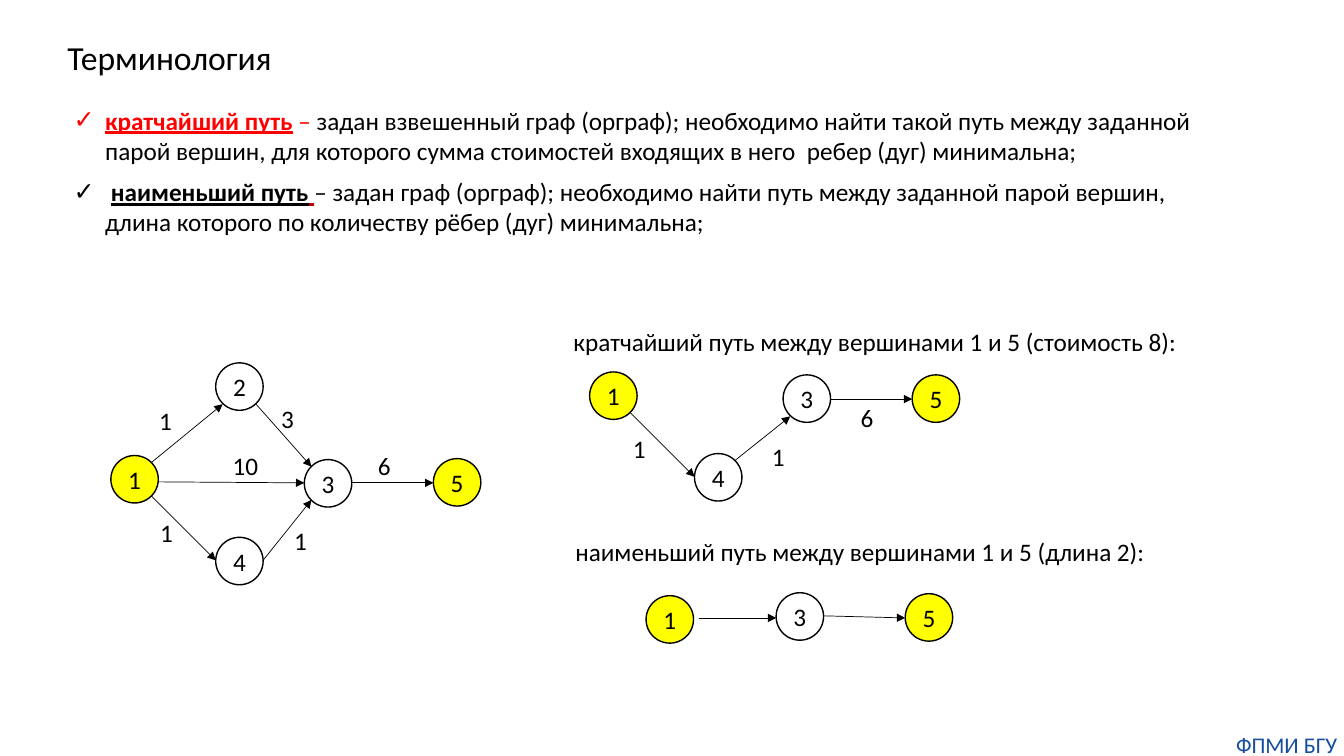
from pptx import Presentation
from pptx.dml.color import RGBColor
from pptx.enum.shapes import MSO_CONNECTOR, MSO_SHAPE
from pptx.enum.text import MSO_ANCHOR as Anchor, MSO_AUTO_SIZE as AutoSize, PP_ALIGN as Align
from pptx.oxml.ns import qn
from pptx.util import Pt
from lxml.etree import SubElement

BLACK = RGBColor(0x00, 0x00, 0x00)
WHITE = RGBColor(0xFF, 0xFF, 0xFF)
YELLOW = RGBColor(0xFF, 0xFF, 0x00)
RED = RGBColor(0xFF, 0x00, 0x00)
DARK_RED = RGBColor(0xC0, 0x00, 0x00)
BLUE = RGBColor(0x14, 0x4E, 0x9D)
FONT = "Calibri"
NODE_SIZE = 33.9


def style_font(font, size, color):
    font.name = FONT
    font.size = Pt(size)
    font.color.rgb = color


def add_label(text, left, top, width, height=29, size=18, color=BLACK):
    shape = slide.shapes.add_textbox(Pt(left), Pt(top), Pt(width), Pt(height))
    shape.text_frame.text = text
    shape.text_frame.word_wrap = False
    style_font(shape.text_frame.paragraphs[0].runs[0].font, size, color)
    return shape


presentation = Presentation()
presentation.slide_width = Pt(960)
presentation.slide_height = Pt(540)
slide = presentation.slides.add_slide(presentation.slide_layouts[1])

title = slide.shapes.title
title.left, title.top, title.width, title.height = Pt(41), Pt(23), Pt(162), Pt(36)
title.text_frame.text = "Терминология"
title.text_frame.word_wrap = False
title.text_frame.auto_size = AutoSize.NONE
title.text_frame.vertical_anchor = Anchor.TOP
title.text_frame.paragraphs[0].alignment = Align.LEFT
style_font(title.text_frame.paragraphs[0].runs[0].font, 24, BLACK)

definitions = [
    [
        ("кратчайший путь", RED, True, True),
        (" ", RED, True, False),
        ("– ", RED, False, False),
        ("задан взвешенный граф (орграф); необходимо найти такой путь между заданной "
         "парой вершин, для которого сумма стоимостей входящих в него  ребер (дуг) "
         "минимальна;", BLACK, False, False),
    ],
    [
        (" ", BLACK, False, False),
        ("наименьший путь", BLACK, True, True),
        (" ", DARK_RED, False, True),
        ("– задан граф (орграф); необходимо найти путь между заданной парой вершин, "
         "длина которого по количеству рёбер (дуг) минимальна;", BLACK, False, False),
    ],
]
body = slide.placeholders[1]
body.left, body.top, body.width, body.height = Pt(45.4), Pt(71.3), Pt(833), Pt(102.2)
body.text_frame.auto_size = AutoSize.NONE
body.text_frame.vertical_anchor = Anchor.TOP
for index, definition in enumerate(definitions):
    paragraph = body.text_frame.add_paragraph() if index else body.text_frame.paragraphs[0]
    paragraph.space_before = Pt(0)
    paragraph.space_after = Pt(8)
    properties = paragraph._p.get_or_add_pPr()
    properties.set("marL", str(Pt(22.5)))
    properties.set("indent", str(Pt(-22.5)))
    SubElement(properties, qn("a:buChar"), char="✓")
    for text, color, bold, underline in definition:
        run = paragraph.add_run()
        run.text = text
        style_font(run.font, 18, color)
        run.font.bold = bold
        run.font.underline = underline

footer = add_label("ФПМИ БГУ", 878.4, 522, 81.4, 19.5, 16, BLUE)
frame = footer.text_frame
frame.margin_left = frame.margin_top = frame.margin_right = frame.margin_bottom = 0
frame.word_wrap = True
frame.paragraphs[0].alignment = Align.CENTER

nodes = [
    ("1", 79.2, 325.4), ("4", 154.1, 383.8), ("3", 217.4, 328.3),
    ("2", 154.1, 259.2), ("5", 309.6, 327.6),
    ("1", 421.2, 265.7), ("4", 496.1, 324), ("3", 559.4, 267.8), ("5", 651.6, 267.8),
    ("1", 461.5, 425.5), ("3", 554.4, 423.4), ("5", 646.6, 424.1),
]
for name, left, top in nodes:
    node = slide.shapes.add_shape(
        MSO_SHAPE.OVAL, Pt(left), Pt(top), Pt(NODE_SIZE), Pt(NODE_SIZE))
    node.shadow.inherit = False
    node.fill.solid()
    node.fill.fore_color.rgb = YELLOW if name in "15" else WHITE
    node.line.color.rgb = BLACK
    node.line.width = Pt(1)
    node.text_frame.text = name
    node.text_frame.word_wrap = False
    node.text_frame.vertical_anchor = Anchor.MIDDLE
    node.text_frame.paragraphs[0].alignment = Align.CENTER
    style_font(node.text_frame.paragraphs[0].runs[0].font, 18, BLACK)

arcs = [
    (108, 330.5, 159.1, 288.7), (113, 344.2, 217.4, 344.9),
    (182.9, 288.7, 222.5, 333.4), (251.3, 344.9, 309.6, 344.9),
    (108, 354.2, 154.1, 400.3), (187.9, 400.3, 222.5, 357.1),
    (593.3, 285.1, 651.6, 285.1), (450, 294.5, 496.1, 340.6),
    (524.9, 329, 564.5, 297.4),
    (499, 441.4, 554.4, 441.4), (588.2, 439.9, 646.6, 441.4),
]
for arc in arcs:
    connector = slide.shapes.add_connector(
        MSO_CONNECTOR.STRAIGHT, *[Pt(length) for length in arc])
    connector.line.color.rgb = BLACK
    connector.line.width = Pt(0.5)
    SubElement(connector.line._get_or_add_ln(), qn("a:tailEnd"), type="triangle")
    SubElement(connector._element.spPr, qn("a:effectLst"))

weights = [
    ("10", 159.1, 318.2), ("6", 262.8, 318.2), ("1", 106.6, 285.8),
    ("3", 193.7, 284.4), ("1", 107.3, 365.8), ("1", 203, 371.5),
    ("1", 544.3, 311.8), ("1", 445, 306), ("6", 607.7, 283.7),
]
for weight, left, top in weights:
    add_label(weight, left, top, 14.4 + 9.2 * len(weight))

add_label("кратчайший путь между вершинами 1 и 5 (стоимость 8):", 402.5, 229.7, 450.7)
add_label("наименьший путь между вершинами 1 и 5 (длина 2):", 403.9, 379.4, 439.2)

presentation.save("out.pptx")
